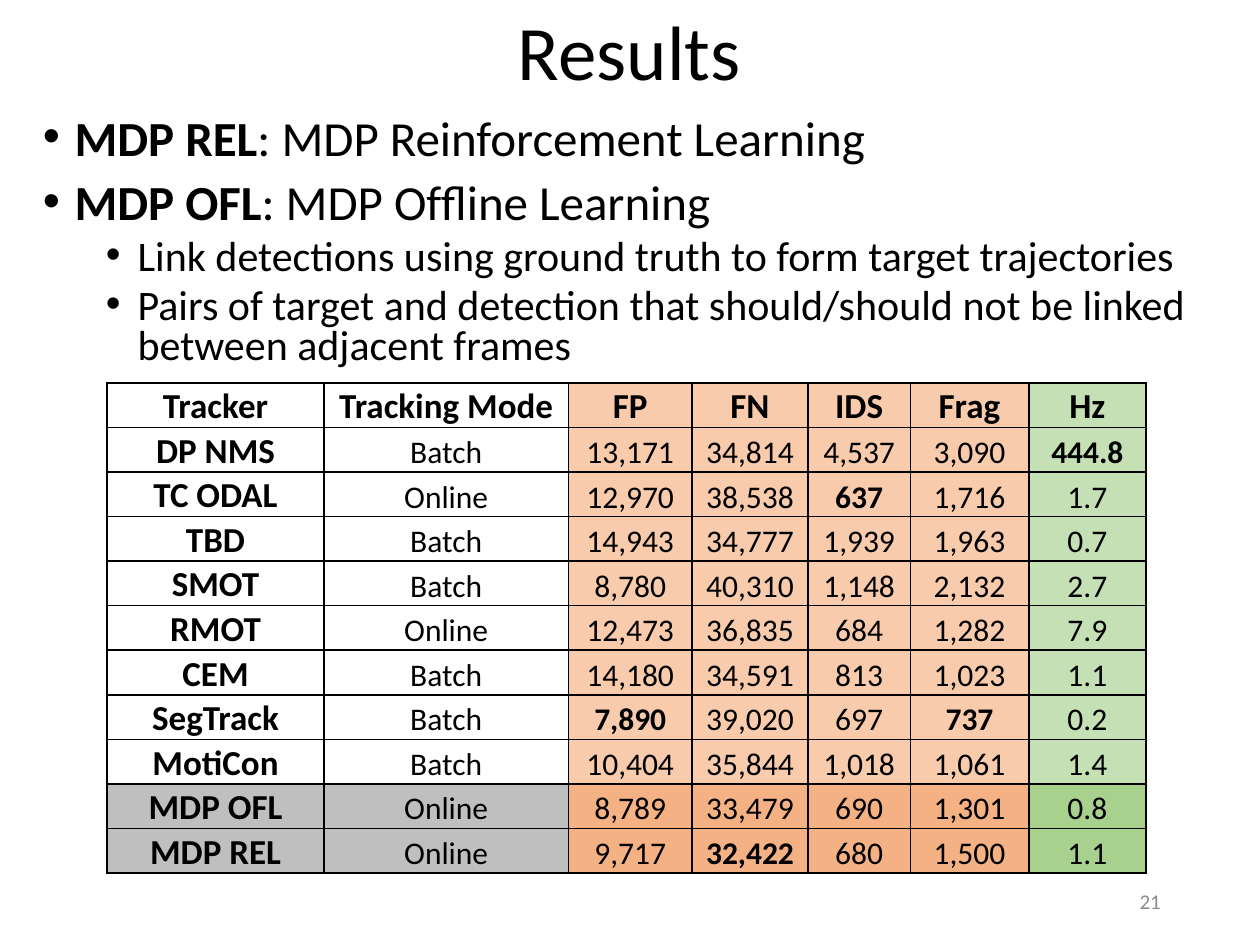
from dataclasses import dataclass

from lxml.etree import SubElement
from pptx import Presentation
from pptx.dml.color import RGBColor
from pptx.enum.text import MSO_ANCHOR, MSO_AUTO_SIZE, PP_ALIGN
from pptx.oxml.ns import qn
from pptx.util import Cm, Pt


@dataclass(frozen=True)
class Theme:
    font: str = "Calibri"
    bullet_font: str = "Arial"
    ink: str = "000000"
    muted: str = "8C8C8C"
    white: str = "FFFFFF"
    gray: str = "BFBFBF"
    orange: str = "F8CBAD"
    deep_orange: str = "F4B183"
    green: str = "C5E0B4"
    deep_green: str = "A9D18E"
    title_size: int = 44
    list_sizes: tuple = (28, 24)
    label_size: int = 20
    value_size: int = 18
    number_size: int = 12


BULLETS = [
    (0, "MDP REL", ": MDP Reinforcement Learning"),
    (0, "MDP OFL", ": MDP Ofﬂine Learning"),
    (1, "", "Link detections using ground truth to form target trajectories"),
    (1, "", "Pairs of target and detection that should/should not be linked between adjacent frames"),
]
RESULTS = [
    ("Tracker", "Tracking Mode", "FP", "FN", "IDS", "Frag", "Hz"),
    ("DP NMS", "Batch", "13,171", "34,814", "4,537", "3,090", "444.8"),
    ("TC ODAL", "Online", "12,970", "38,538", "637", "1,716", "1.7"),
    ("TBD", "Batch", "14,943", "34,777", "1,939", "1,963", "0.7"),
    ("SMOT", "Batch", "8,780", "40,310", "1,148", "2,132", "2.7"),
    ("RMOT", "Online", "12,473", "36,835", "684", "1,282", "7.9"),
    ("CEM", "Batch", "14,180", "34,591", "813", "1,023", "1.1"),
    ("SegTrack", "Batch", "7,890", "39,020", "697", "737", "0.2"),
    ("MotiCon", "Batch", "10,404", "35,844", "1,018", "1,061", "1.4"),
    ("MDP OFL", "Online", "8,789", "33,479", "690", "1,301", "0.8"),
    ("MDP REL", "Online", "9,717", "32,422", "680", "1,500", "1.1"),
]
BEST_VALUES = {"7,890", "32,422", "637", "737", "444.8"}
COLUMN_WIDTHS = (4.37, 4.93, 2.49, 2.34, 2.06, 2.39, 2.36)
ROW_HEIGHT = 0.84


class SlideBuilder:
    def __init__(self, slide, theme):
        self.slide = slide
        self.theme = theme

    def place(self, shape, left, top, width, height):
        shape.left, shape.top = Cm(left), Cm(top)
        shape.width, shape.height = Cm(width), Cm(height)

    def format_span(self, span, size, bold=False, color=None):
        span.font.name = self.theme.font
        span.font.size = Pt(size)
        span.font.bold = bold
        span.font.color.rgb = RGBColor.from_string(color or self.theme.ink)

    def add_title(self, text, *bounds):
        title = self.slide.shapes.title
        self.place(title, *bounds)
        frame = title.text_frame
        frame.text = text
        frame.auto_size = MSO_AUTO_SIZE.NONE
        frame.vertical_anchor = MSO_ANCHOR.MIDDLE
        para = frame.paragraphs[0]
        para.alignment = PP_ALIGN.CENTER
        para.line_spacing = 0.9
        self.format_span(para.runs[0], self.theme.title_size)

    def add_bullets(self, items, *bounds):
        body = self.slide.placeholders[1]
        self.place(body, *bounds)
        frame = body.text_frame
        frame.auto_size = MSO_AUTO_SIZE.NONE
        frame.vertical_anchor = MSO_ANCHOR.TOP
        frame.text = "\n".join(term + detail for _, term, detail in items)
        for para, (level, term, detail) in zip(frame.paragraphs, items):
            para.level = level
            para.line_spacing = 0.8
            para.space_before = Pt((10, 5)[level])
            self.add_bullet_mark(para, level)
            size = self.theme.list_sizes[level]
            span = para.runs[0]
            if term:
                span.text = term
                self.format_span(span, size, bold=True)
                span = para.add_run()
                span.text = detail
            self.format_span(span, size)

    def add_bullet_mark(self, para, level):
        properties = para._p.get_or_add_pPr()
        properties.set("marL", str(Cm((0.64, 1.91)[level])))
        properties.set("indent", str(-Cm(0.64)))
        SubElement(properties, qn("a:buFont"), typeface=self.theme.bullet_font)
        SubElement(properties, qn("a:buChar"), char="•")

    def add_results(self, rows, left, top):
        frame = self.slide.shapes.add_table(
            len(rows), len(COLUMN_WIDTHS), Cm(left), Cm(top),
            Cm(sum(COLUMN_WIDTHS)), Cm(ROW_HEIGHT * len(rows)))
        table = frame.table
        table.first_row = table.horz_banding = False
        for column, width in zip(table.columns, COLUMN_WIDTHS):
            column.width = Cm(width)
        for row, values in enumerate(rows):
            table.rows[row].height = Cm(ROW_HEIGHT)
            for column, value in enumerate(values):
                self.fill_cell(table.cell(row, column), value, row, column)

    def fill_cell(self, cell, value, row, column):
        is_label = row == 0 or column == 0
        cell.margin_left = cell.margin_right = cell.margin_top = Cm(0.05)
        cell.margin_bottom = 0
        cell.vertical_anchor = MSO_ANCHOR.BOTTOM
        cell.text_frame.text = value
        para = cell.text_frame.paragraphs[0]
        para.alignment = PP_ALIGN.CENTER
        size = self.theme.label_size if is_label else self.theme.value_size
        self.format_span(para.runs[0], size, is_label or value in BEST_VALUES)
        self.add_borders(cell)
        cell.fill.solid()
        cell.fill.fore_color.rgb = RGBColor.from_string(self.cell_color(row, column))

    def cell_color(self, row, column):
        theme = self.theme
        plain = (theme.white, theme.orange, theme.green)
        highlighted = (theme.gray, theme.deep_orange, theme.deep_green)
        group = 0 if column < 2 else 1 if column < 6 else 2
        return (highlighted if row >= len(RESULTS) - 2 else plain)[group]

    def add_borders(self, cell):
        properties = cell._tc.get_or_add_tcPr()
        for side in ("lnL", "lnR", "lnT", "lnB"):
            line = SubElement(properties, qn(f"a:{side}"), w=str(Pt(1)))
            fill = SubElement(line, qn("a:solidFill"))
            SubElement(fill, qn("a:srgbClr"), val=self.theme.ink)

    def add_page_number(self, text, *bounds):
        box = self.slide.shapes.add_textbox(*map(Cm, bounds))
        frame = box.text_frame
        frame.word_wrap = True
        frame.vertical_anchor = MSO_ANCHOR.MIDDLE
        frame.text = text
        para = frame.paragraphs[0]
        para.alignment = PP_ALIGN.RIGHT
        self.format_span(para.runs[0], self.theme.number_size, color=self.theme.muted)


def main():
    deck = Presentation()
    deck.slide_width, deck.slide_height = Cm(25.4), Cm(19.05)
    page = SlideBuilder(deck.slides.add_slide(deck.slide_layouts[1]), Theme())
    page.add_page_number("21", 17.93, 17.65, 5.72, 1.02)
    page.add_title("Results", 1.3, 0.13, 22.78, 1.96)
    page.add_bullets(BULLETS, 0.61, 2.26, 24.43, 5.59)
    page.add_results(RESULTS, 2.16, 7.72)
    deck.save("out.pptx")


if __name__ == "__main__":
    main()
